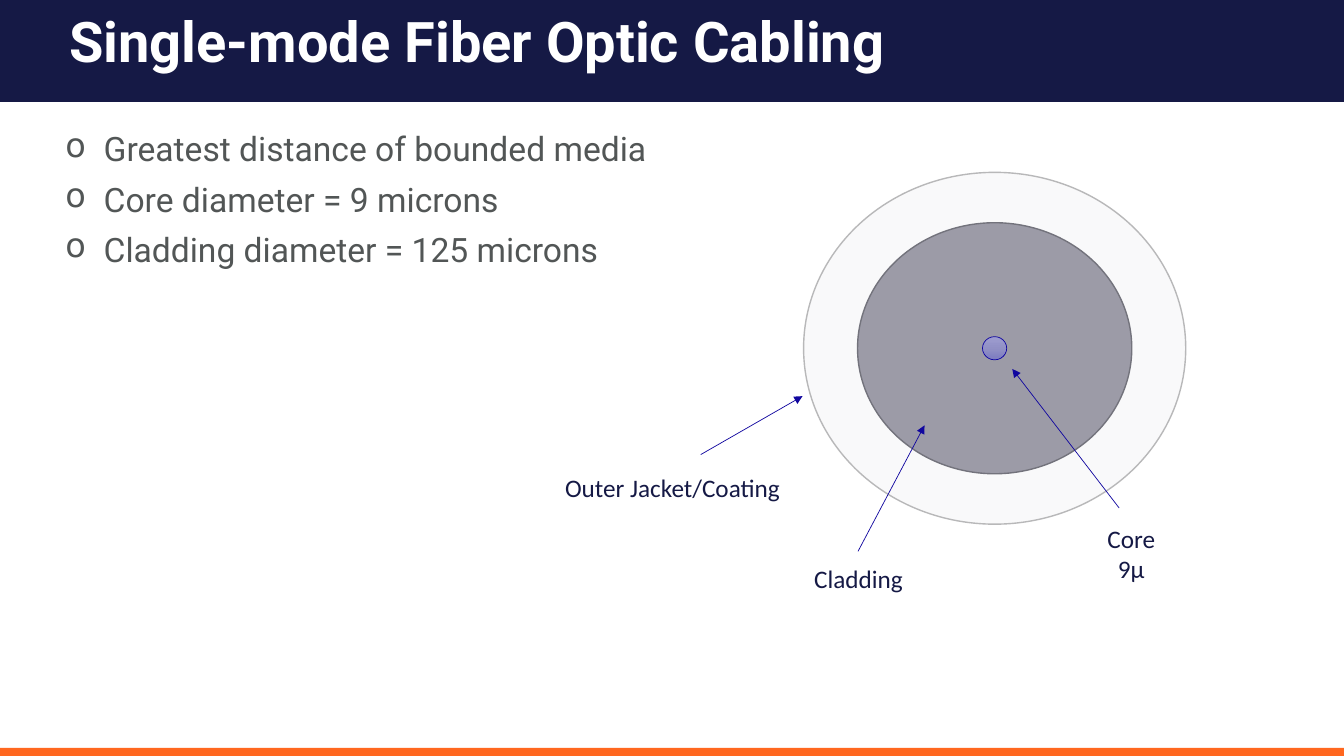
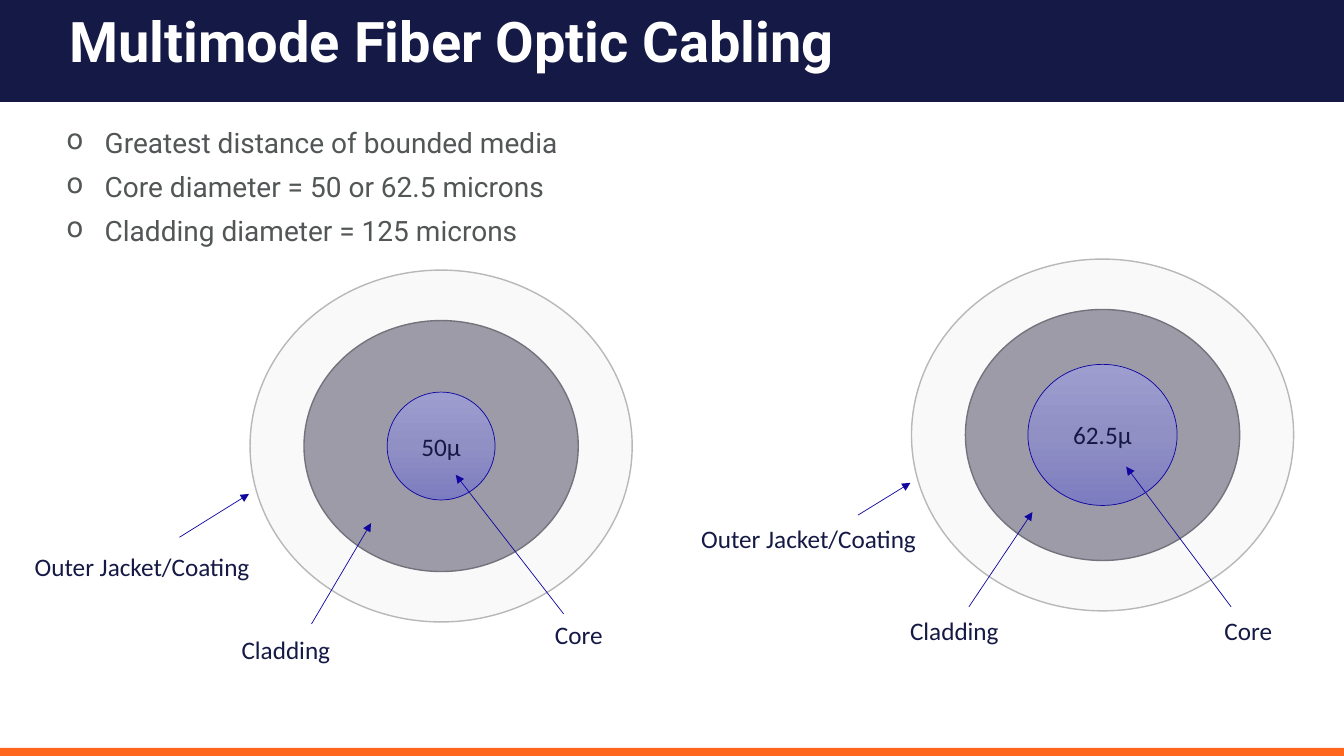
import copy

import pptx
import pptx.dml.color
import pptx.enum.dml
import pptx.enum.shapes
import pptx.enum.text
import pptx.oxml
import pptx.oxml.ns
import pptx.util

Inches = pptx.util.Inches
Pt = pptx.util.Pt
RGBColor = pptx.dml.color.RGBColor
SHAPES = pptx.enum.shapes.MSO_SHAPE
ANCHOR = pptx.enum.text.MSO_ANCHOR
ALIGN = pptx.enum.text.PP_ALIGN
qn = pptx.oxml.ns.qn

NAVY = RGBColor(0x15, 0x19, 0x45)
ORANGE = RGBColor(0xFF, 0x67, 0x1F)
WHITE = RGBColor(0xFF, 0xFF, 0xFF)
BODY_GRAY = RGBColor(0x52, 0x56, 0x56)
JACKET_FILL = RGBColor(0xF9, 0xF9, 0xFA)
JACKET_LINE = RGBColor(0xB8, 0xB8, 0xB9)
CLADDING_FILL = RGBColor(0x9C, 0x9B, 0xA7)
CLADDING_LINE = RGBColor(0x73, 0x73, 0x7C)
BLUE = RGBColor(0x10, 0x06, 0x9F)
CORE_TOP = RGBColor(0x9E, 0x9D, 0xD0)
CORE_MIDDLE = RGBColor(0x91, 0x90, 0xC5)
CORE_BOTTOM = RGBColor(0x7C, 0x7C, 0xC0)

SLIDE_WIDTH, SLIDE_HEIGHT = 13.33, 7.5
BAND_HEIGHT, FOOTER_HEIGHT = 1.01, 0.08
BODY_SIZE = (12.22, 5.13)
JACKET_SIZE = (3.79, 3.49)
CLADDING_SIZE = (2.72, 2.49)
JACKET_TIP = (-0.01, 2.22)
CLADDING_TIP = (1.2, 2.51)
LABEL_LINE_HEIGHT = 0.4

TITLE_FONT = {"name": "Roboto", "size": Pt(40), "bold": True}
LABEL_FONT = {"name": "Calibri", "size": Pt(18)}

# Callout geometry is measured from the top left corner of the jacket.
SLIDES = [
    {
        "title": "Single-mode Fiber Optic Cabling",
        "bullets": ["Greatest distance of bounded media",
                    "Core diameter = 9 microns",
                    "Cladding diameter = 125 microns"],
        "body": (0.55, 1.27), "body_size": 24,
        "fibers": [
            {"origin": (7.97, 1.71), "core": (0.24, 0.23), "core_text": "",
             "callouts": [
                 (["Outer Jacket/Coating"], (-2.48, 2.93), 2.36, (-1.02, 2.8), JACKET_TIP),
                 (["Cladding"], (0, 3.83), 1.09, (0.54, 3.76), CLADDING_TIP),
                 (["Core", "9µ"], (2.91, 3.43), 0.68, (3.13, 3.33), (2.07, 1.95))]},
        ],
    },
    {
        "title": "Multimode Fiber Optic Cabling",
        "bullets": ["Greatest distance of bounded media",
                    "Core diameter = 50 or 62.5 microns",
                    "Cladding diameter = 125 microns"],
        "body": (0.56, 1.23), "body_size": 20,
        "fibers": [
            {"origin": (9.04, 2.57), "core": (1.48, 1.4), "core_text": "62.5µ",
             "callouts": [
                 (["Outer Jacket/Coating"], (-2.2, 2.57), 2.36, (-0.53, 2.54), JACKET_TIP),
                 (["Cladding"], (-0.12, 3.49), 1.09, (0.57, 3.45), CLADDING_TIP),
                 (["Core"], (3, 3.49), 0.68, (3.17, 3.45), (2.13, 2.06))]},
            {"origin": (2.48, 2.68), "core": (1.07, 1.07), "core_text": "50µ",
             "callouts": [
                 (["Outer Jacket/Coating"], (-2.25, 2.74), 2.36, (-0.7, 2.65), JACKET_TIP),
                 (["Cladding"], (-0.19, 3.56), 1.09, (0.61, 3.51), CLADDING_TIP),
                 (["Core"], (2.92, 3.41), 0.68, (3.11, 3.41), (2.04, 2.03))]},
        ],
    },
]


def set_font(paragraph, font_format, color):
    for attribute, value in font_format.items():
        setattr(paragraph.font, attribute, value)
    paragraph.font.color.rgb = color


def add_text(slide, box, **frame_format):
    text_frame = slide.shapes.add_textbox(*map(Inches, box)).text_frame
    for attribute, value in {"word_wrap": True, **frame_format}.items():
        setattr(text_frame, attribute, value)
    return text_frame


def add_shape(slide, preset, box, fill=None, line=None, line_width=1):
    """Add a flat preset shape; without a line colour it has no outline."""
    shape = slide.shapes.add_shape(preset, *map(Inches, box))
    shape.shadow.inherit = False
    if fill is not None:
        shape.fill.solid()
        shape.fill.fore_color.rgb = fill
    if line is None:
        shape.line.fill.background()
    else:
        shape.line.color.rgb = line
        shape.line.width = Pt(line_width)
    return shape


def add_frame(slide, title):
    """Draw the title band, the title and the footer strip."""
    add_shape(slide, SHAPES.RECTANGLE, (0, 0, SLIDE_WIDTH, BAND_HEIGHT), NAVY)
    add_shape(slide, SHAPES.RECTANGLE,
              (0, SLIDE_HEIGHT - FOOTER_HEIGHT, SLIDE_WIDTH, FOOTER_HEIGHT), ORANGE)
    text_frame = add_text(slide, (0.59, -0.13, 12.22, 1.14), vertical_anchor=ANCHOR.MIDDLE)
    paragraph = text_frame.paragraphs[0]
    paragraph.text = title
    paragraph.line_spacing = 0.9
    set_font(paragraph, TITLE_FONT, WHITE)


def add_bullets(slide, box, bullets, size):
    text_frame = add_text(slide, box)
    for index, bullet in enumerate(bullets):
        paragraph = text_frame.paragraphs[0] if index == 0 else text_frame.add_paragraph()
        paragraph.text = bullet
        paragraph.line_spacing = 0.9
        paragraph.space_before = Pt(10 if index else 0)
        properties = paragraph._p.get_or_add_pPr()
        properties.set("marL", str(Inches(0.38)))
        properties.set("indent", str(-Inches(0.38)))
        pptx.oxml.ns  # namespace helpers are used for the bullet element
        bullet_mark = properties.makeelement(qn("a:buChar"), {"char": "o"})
        properties.append(bullet_mark)
        set_font(paragraph, {"name": "Roboto", "size": Pt(size)}, BODY_GRAY)


def add_arrow(slide, start, end):
    connector = slide.shapes.add_connector(
        pptx.enum.shapes.MSO_CONNECTOR.STRAIGHT, *map(Inches, (*start, *end)))
    connector.line.color.rgb = BLUE
    connector.line.width = Pt(0.5)
    properties = connector._element.spPr
    line = properties.find(qn("a:ln"))
    line.append(line.makeelement(qn("a:tailEnd"), {"type": "triangle"}))
    properties.append(properties.makeelement(qn("a:effectLst"), {}))


def add_label(slide, box, lines):
    text_frame = add_text(slide, box, word_wrap=False,
                          auto_size=pptx.enum.text.MSO_AUTO_SIZE.SHAPE_TO_FIT_TEXT)
    text_frame.text = "\n".join(lines)
    for paragraph in text_frame.paragraphs:
        paragraph.alignment = ALIGN.CENTER
        set_font(paragraph, LABEL_FONT, NAVY)


def fill_core(shape):
    """Shade the core from top to bottom through three colours."""
    shape.fill.gradient()
    shape.fill.gradient_angle = 270
    stop_list = shape._element.spPr.find(".//" + qn("a:gsLst"))
    stop_list.insert(1, copy.deepcopy(stop_list[0]))
    colors = (CORE_TOP, CORE_MIDDLE, CORE_BOTTOM)
    for stop, position, color in zip(shape.fill.gradient_stops, (0, 0.5, 1), colors):
        stop.position = position
        stop.color.rgb = color


def add_fiber(slide, origin, core, core_text, callouts):
    """Draw a fiber cross-section whose jacket starts at origin, with callouts."""
    def shifted(point):
        return tuple(start + offset for start, offset in zip(origin, point))

    def centered(size):
        inset = [(outer - inner) / 2 for outer, inner in zip(JACKET_SIZE, size)]
        return (*shifted(inset), *size)

    add_shape(slide, SHAPES.OVAL, centered(JACKET_SIZE), JACKET_FILL, JACKET_LINE)
    add_shape(slide, SHAPES.OVAL, centered(CLADDING_SIZE), CLADDING_FILL, CLADDING_LINE)
    core_shape = add_shape(slide, SHAPES.OVAL, centered(core), line=BLUE, line_width=0.5)
    fill_core(core_shape)
    if core_text:
        text_frame = core_shape.text_frame
        text_frame.word_wrap = False
        text_frame.vertical_anchor = ANCHOR.MIDDLE
        paragraph = text_frame.paragraphs[0]
        paragraph.text = core_text
        paragraph.alignment = ALIGN.CENTER
        set_font(paragraph, LABEL_FONT, NAVY)
    for lines, position, width, start, tip in callouts:
        add_arrow(slide, shifted(start), shifted(tip))
        height = LABEL_LINE_HEIGHT if len(lines) == 1 else 0.71
        add_label(slide, (*shifted(position), width, height), lines)


def main():
    presentation = pptx.Presentation()
    presentation.slide_width = Inches(SLIDE_WIDTH)
    presentation.slide_height = Inches(SLIDE_HEIGHT)
    for content in SLIDES:
        slide = presentation.slides.add_slide(presentation.slide_layouts[6])
        add_frame(slide, content["title"])
        add_bullets(slide, (*content["body"], *BODY_SIZE),
                    content["bullets"], content["body_size"])
        for fiber in content["fibers"]:
            add_fiber(slide, **fiber)
    presentation.save("out.pptx")


if __name__ == "__main__":
    main()
